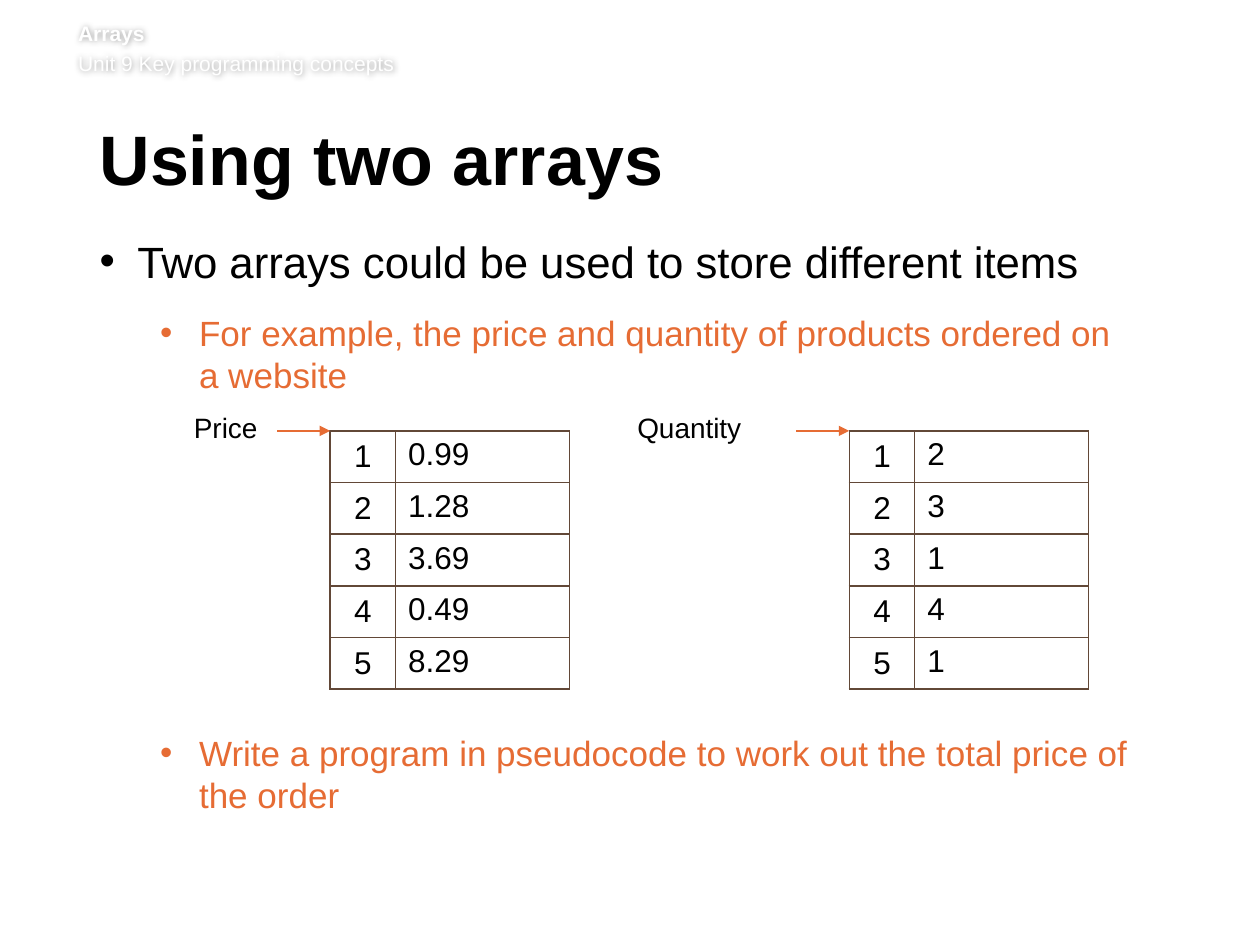
from dataclasses import dataclass

from lxml import etree
from pptx import Presentation, util as u
from pptx.dml.color import RGBColor
from pptx.enum import shapes, text
from pptx.oxml import parse_xml
from pptx.oxml.ns import nsdecls, qn

COLORS = {"black": "000000", "white": "FFFFFF", "orange": "E66C34", "brown": "624837"}
FONT = "Arial"
ROW_HEIGHT = 0.41
COLUMN_WIDTHS = (0.52, 1.38)
TABLE_TOP = 3.42


@dataclass
class ArrayFigure:
    name: str
    label_left: float
    label_width: float
    table_left: float
    values: tuple[str, ...]


@dataclass
class Bullet:
    lines: tuple[str, ...]
    size: int
    color: str
    level: int
    margin: float
    hanging: float
    before: int
    after: int


ARRAYS = (
    ArrayFigure("Price", 1.44, 0.78, 2.62, ("0.99", "1.28", "3.69", "0.49", "8.29")),
    ArrayFigure("Quantity", 4.96, 1.37, 6.74, ("2", "3", "1", "4", "1")),
)
BULLETS = (
    Bullet(("Two arrays could be used to store different items",),
           25, "black", 0, 0.3, 0.3, 0, 14),
    Bullet(("For example, the price and quantity of products ordered on", "a website"),
           20, "orange", 1, 0.79, 0.31, 0, 12),
    Bullet(("Write a program in pseudocode to work out the total price of the order",),
           20, "orange", 1, 0.79, 0.31, 180, 12),
)


def add_span(para, words: str, size: float, color: str = "black", bold: bool = False) -> None:
    span = para.add_run()
    span.text = words
    span.font.name = FONT
    span.font.size = u.Pt(size)
    span.font.bold = bold
    span.font.color.rgb = RGBColor.from_string(COLORS[color])


def set_frame(frame, left=0.1, top=0.05, right=0.1, bottom=0.05) -> None:
    frame.word_wrap = True
    frame.auto_size = text.MSO_AUTO_SIZE.NONE
    frame.vertical_anchor = text.MSO_ANCHOR.TOP
    frame.margin_left, frame.margin_top = u.Inches(left), u.Inches(top)
    frame.margin_right, frame.margin_bottom = u.Inches(right), u.Inches(bottom)


def add_box(slide, left: float, top: float, width: float, height: float):
    return slide.shapes.add_textbox(*map(u.Inches, (left, top, width, height)))


def add_header(slide) -> None:
    box = add_box(slide, 0.62, 0.16, 8.82, 0.49)
    set_frame(box.text_frame, 0, 0, 0)
    first = box.text_frame.paragraphs[0]
    add_span(first, "Arrays", 12, "white", True)
    second = box.text_frame.add_paragraph()
    second.space_before = u.Pt(2.9)
    add_span(second, "Unit 9 Key programming concepts", 12, "white")
    box._element.spPr.append(parse_xml(
        f'<a:effectLst {nsdecls("a")}><a:outerShdw blurRad="50800" dist="0" dir="0">'
        f'<a:srgbClr val="{COLORS["black"]}"><a:alpha val="40000"/></a:srgbClr>'
        "</a:outerShdw></a:effectLst>"))


def add_title(slide) -> None:
    title = slide.shapes.title
    title.left, title.top = u.Inches(0.79), u.Inches(0.99)
    title.width, title.height = u.Inches(8.55), u.Inches(0.73)
    set_frame(title.text_frame, left=0)
    para = title.text_frame.paragraphs[0]
    para.alignment = text.PP_ALIGN.LEFT
    para.line_spacing = u.Pt(39)
    add_span(para, "Using two arrays", 40, bold=True)


def add_bullet(para, bullet: Bullet) -> None:
    props = para._p.get_or_add_pPr()
    props.set("marL", str(u.Inches(bullet.margin)))
    props.set("indent", str(-u.Inches(bullet.hanging)))
    etree.SubElement(props, qn("a:buFont")).set("typeface", FONT)
    etree.SubElement(props, qn("a:buChar")).set("char", "•")
    para.level = bullet.level
    para.line_spacing = u.Pt(bullet.size * 1.2)
    para.space_before = u.Pt(bullet.before)
    para.space_after = u.Pt(bullet.after)
    for index, line in enumerate(bullet.lines):
        if index:
            para.add_line_break()
        add_span(para, line, bullet.size, bullet.color)


def add_body(slide) -> None:
    frame = add_box(slide, 0.79, 1.86, 8.53, 3.78).text_frame
    set_frame(frame, 0, 0)
    for index, bullet in enumerate(BULLETS):
        para = frame.add_paragraph() if index else frame.paragraphs[0]
        add_bullet(para, bullet)


def format_cell(cell, words: str, centered: bool) -> None:
    para = cell.text_frame.paragraphs[0]
    add_span(para, words, 18)
    if centered:
        para.alignment = text.PP_ALIGN.CENTER
        cell.vertical_anchor = text.MSO_ANCHOR.MIDDLE
    props = cell._tc.get_or_add_tcPr()
    for side in ("lnL", "lnR", "lnT", "lnB"):
        props.append(parse_xml(
            f'<a:{side} {nsdecls("a")} w="{u.Pt(1)}"><a:solidFill>'
            f'<a:srgbClr val="{COLORS["brown"]}"/></a:solidFill></a:{side}>'))
    cell.fill.background()


def add_array(slide, array: ArrayFigure) -> None:
    count = len(array.values)
    table = slide.shapes.add_table(
        count, 2, u.Inches(array.table_left), u.Inches(TABLE_TOP),
        u.Inches(sum(COLUMN_WIDTHS)), u.Inches(ROW_HEIGHT * count)).table
    table.first_row = table.horz_banding = False
    for column, width in zip(table.columns, COLUMN_WIDTHS):
        column.width = u.Inches(width)
    for index, value in enumerate(array.values):
        table.rows[index].height = u.Inches(ROW_HEIGHT)
        format_cell(table.cell(index, 0), str(index + 1), True)
        format_cell(table.cell(index, 1), value, False)

    label = add_box(slide, array.label_left, 3.21, array.label_width, 0.37)
    set_frame(label.text_frame)
    add_span(label.text_frame.paragraphs[0], array.name, 16)

    arrow = slide.shapes.add_connector(
        shapes.MSO_CONNECTOR.STRAIGHT, u.Inches(array.table_left - 0.42),
        u.Inches(TABLE_TOP), u.Inches(array.table_left), u.Inches(TABLE_TOP))
    arrow.line.color.rgb = RGBColor.from_string(COLORS["orange"])
    arrow.line.width = u.Pt(1.5)
    etree.SubElement(arrow.line._get_or_add_ln(), qn("a:tailEnd")).set("type", "triangle")
    etree.SubElement(arrow._element.spPr, qn("a:effectLst"))


def main() -> None:
    deck = Presentation()
    deck.slide_width, deck.slide_height = u.Inches(10), u.Inches(7.5)
    slide = deck.slides.add_slide(deck.slide_layouts[5])
    add_header(slide)
    add_title(slide)
    add_body(slide)
    for array in ARRAYS:
        add_array(slide, array)
    deck.save("out.pptx")


if __name__ == "__main__":
    main()
